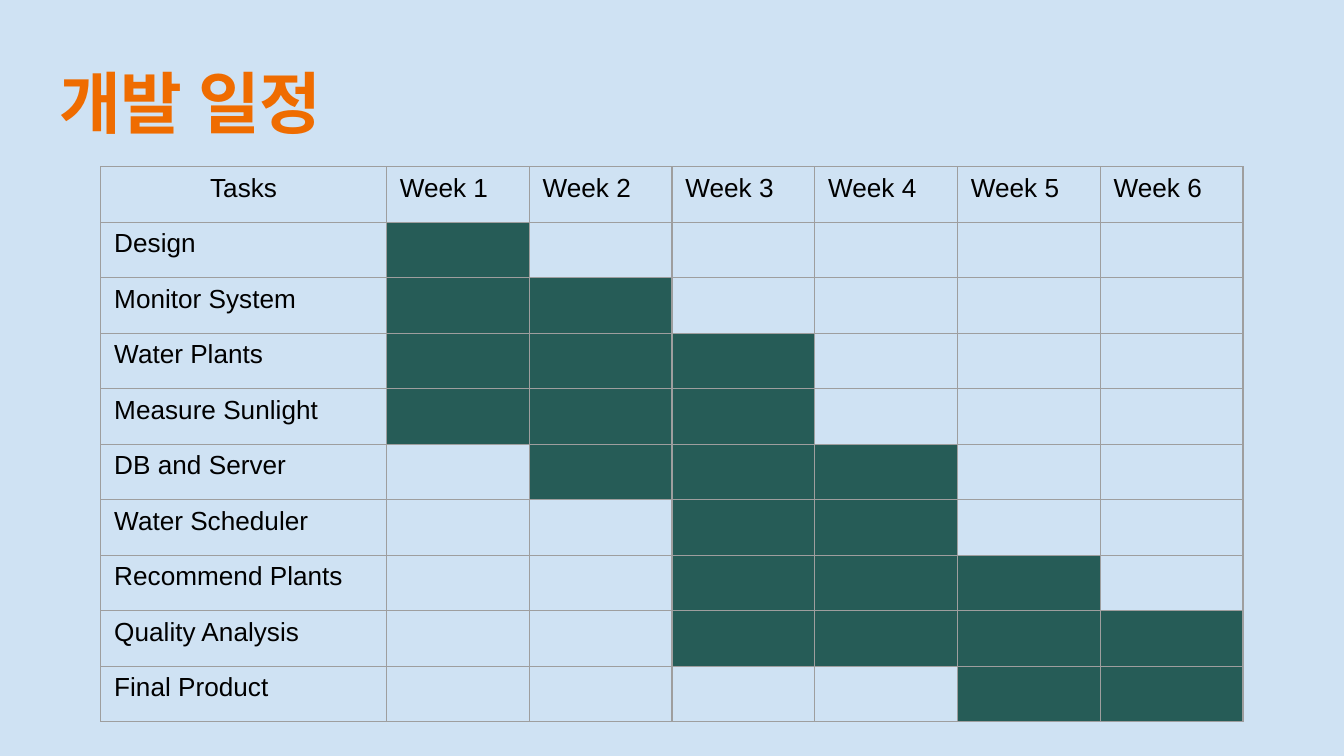
from dataclasses import dataclass

from lxml import etree
from pptx import Presentation
from pptx.dml.color import RGBColor
from pptx.enum.text import MSO_ANCHOR, MSO_AUTO_SIZE, PP_ALIGN
from pptx.oxml.ns import qn
from pptx.util import Inches, Pt

LEFT, CENTER = PP_ALIGN.LEFT, PP_ALIGN.CENTER
MIDDLE = MSO_ANCHOR.MIDDLE
NO_AUTOFIT = MSO_AUTO_SIZE.NONE
TITLE_ONLY = 5
WIDTH = Inches(10)
HEIGHT = WIDTH * 9 // 16


@dataclass(frozen=True)
class Theme:
    background: str = "CFE2F3"
    title: str = "EF6C00"
    text: str = "000000"
    active: str = "265C57"
    border: str = "9E9E9E"
    title_font: str = "Arial Narrow"
    body_font: str = "Arial"
    title_size: int = 36
    body_size: int = 14
    border_width: float = 0.75


THEME = Theme()
WEEKS = 6
NAME_SPAN = 2  # the task column is as wide as two weeks

# Task, first week, last week
SCHEDULE = [
    ("Design", 1, 1),
    ("Monitor System", 1, 2),
    ("Water Plants", 1, 3),
    ("Measure Sunlight", 1, 3),
    ("DB and Server", 2, 4),
    ("Water Scheduler", 3, 4),
    ("Recommend Plants", 3, 5),
    ("Quality Analysis", 3, 6),
    ("Final Product", 5, 6),
]


def write_text(frame, text, *, font=THEME.body_font, size=THEME.body_size,
               color=THEME.text, bold=False, align=LEFT):
    para = frame.paragraphs[0]
    para.alignment = align
    span = para.add_run()
    span.text = text
    span.font.name = font
    span.font.size = Pt(size)
    span.font.bold = bold
    span.font.color.rgb = RGBColor.from_string(color)
    east_asian = etree.SubElement(span.font._element, qn("a:ea"))
    east_asian.set("typeface", font)


def add_title(page, text):
    box = page.shapes.title
    box.left, box.top = int(WIDTH * 0.034), Inches(0.37)
    box.width, box.height = int(WIDTH * 0.932), Inches(0.77)
    frame = box.text_frame
    frame.word_wrap = True
    frame.auto_size = NO_AUTOFIT
    frame.vertical_anchor = MIDDLE
    frame.margin_left = frame.margin_right = Inches(0.1)
    frame.margin_top = frame.margin_bottom = Inches(0.1)
    write_text(frame, text, font=THEME.title_font, size=THEME.title_size,
               color=THEME.title, bold=True)


def style_cell(cell, fill=None):
    """Draw all four borders, then fill the cell or leave it clear."""
    properties = cell._tc.get_or_add_tcPr()
    for side in ("lnL", "lnR", "lnT", "lnB"):
        line = etree.SubElement(properties, qn(f"a:{side}"),
                                w=str(Pt(THEME.border_width)))
        solid = etree.SubElement(line, qn("a:solidFill"))
        etree.SubElement(solid, qn("a:srgbClr"), val=THEME.border)
    if fill:
        cell.fill.solid()
        cell.fill.fore_color.rgb = RGBColor.from_string(fill)
    else:
        cell.fill.background()


def add_schedule(page):
    rows, columns = len(SCHEDULE) + 1, WEEKS + 1
    left, width, height = int(WIDTH * 0.075), int(WIDTH * 0.85), Inches(4.13)
    table = page.shapes.add_table(rows, columns, left, Inches(1.24),
                                  width, height).table
    table.first_row = table.horz_banding = False
    week_width = width // (NAME_SPAN + WEEKS)
    for index, column in enumerate(table.columns):
        column.width = week_width * (1 if index else NAME_SPAN)
    for row in table.rows:
        row.height = height // rows

    headings = ["Tasks"] + [f"Week {week}" for week in range(1, WEEKS + 1)]
    for column, heading in enumerate(headings):
        cell = table.cell(0, column)
        style_cell(cell)
        write_text(cell.text_frame, heading, align=LEFT if column else CENTER)

    for row, (task, first, last) in enumerate(SCHEDULE, start=1):
        name_cell = table.cell(row, 0)
        style_cell(name_cell)
        write_text(name_cell.text_frame, task)
        for week in range(1, WEEKS + 1):
            cell = table.cell(row, week)
            cell.margin_top = cell.margin_bottom = 0
            style_cell(cell, THEME.active if first <= week <= last else None)


def main():
    deck = Presentation()
    deck.slide_width, deck.slide_height = WIDTH, HEIGHT
    page = deck.slides.add_slide(deck.slide_layouts[TITLE_ONLY])
    page.background.fill.solid()
    page.background.fill.fore_color.rgb = RGBColor.from_string(THEME.background)
    add_schedule(page)
    add_title(page, "개발 일정")
    deck.save("out.pptx")


if __name__ == "__main__":
    main()
